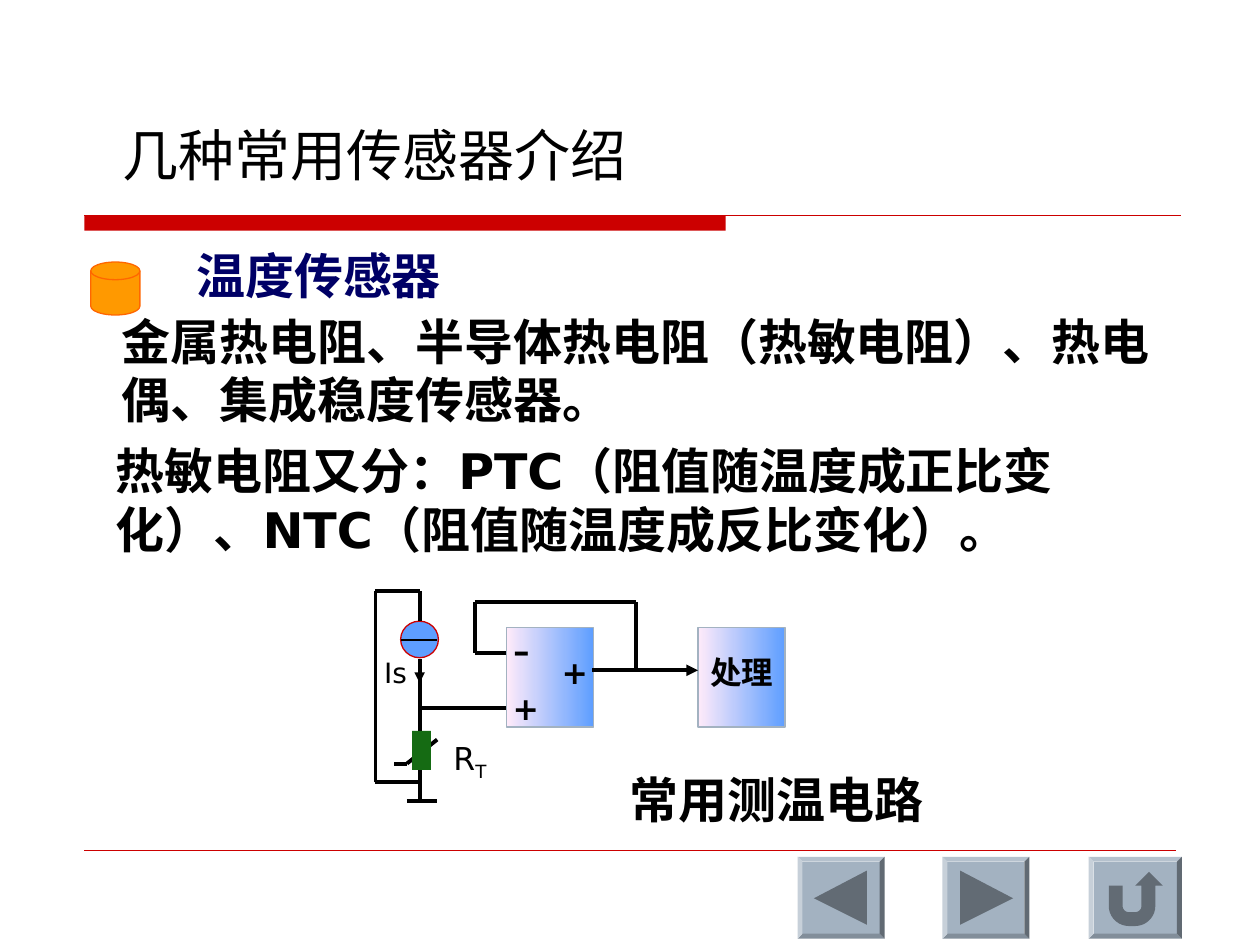
from dataclasses import dataclass
from itertools import pairwise
from math import cos, radians, sin

from lxml.etree import SubElement
from pptx import Presentation
from pptx.dml.color import RGBColor
from pptx.enum.shapes import MSO_CONNECTOR, MSO_SHAPE as Preset
from pptx.enum.text import MSO_ANCHOR as Anchor, MSO_AUTO_SIZE as AutoSize, PP_ALIGN as Align
from pptx.oxml.ns import qn
from pptx.util import Inches, Pt

COLUMNS, ROWS = 100, 75
WIDTH, HEIGHT = Inches(10), Inches(7.5)


@dataclass(frozen=True)
class Theme:
    ink: str = "000000"
    heading: str = "000066"
    rule: str = "CC0000"
    disk: str = "FF9900"
    disk_edge: str = "FF6600"
    blue: str = "5E9EFF"
    pink: str = "FFEBFA"
    steel: str = "A3B2C1"
    icon: str = "626B74"
    resistor: str = "156B13"
    title_font: str = "Noto Sans CJK SC"
    body_font: str = "DejaVu Sans"
    title_size: float = 32
    body_size: float = 28
    label_size: float = 18
    small_size: float = 16
    hairline: float = 0.25
    thin: float = 0.75
    wire: float = 2.25


THEME = Theme()


@dataclass(frozen=True)
class Area:
    column: float
    row: float
    columns: float
    rows: float

    def place(self) -> tuple[int, int, int, int]:
        return across(self.column), down(self.row), across(self.columns), down(self.rows)


@dataclass(frozen=True)
class Label:
    text: str
    area: Area
    size: float = THEME.body_size
    bold: bool = True
    color: str = THEME.ink
    subscript: str = ""


@dataclass(frozen=True)
class Wire:
    points: tuple[tuple[float, float], ...]
    width: float = THEME.wire
    color: str = THEME.ink
    arrow: bool = False


def across(columns: float) -> int:
    return round(WIDTH * columns / COLUMNS)


def down(rows: float) -> int:
    return round(HEIGHT * rows / ROWS)


def rgb(color: str) -> RGBColor:
    return RGBColor.from_string(color)


def style_font(para, name: str, size: float, color: str, bold: bool = False) -> None:
    font = para.font
    font.name, font.size, font.bold = name, Pt(size), bold
    font.color.rgb = rgb(color)
    latin = font._rPr.find(qn("a:latin"))
    east_asian = latin.makeelement(qn("a:ea"), {"typeface": name})
    latin.addnext(east_asian)


def paint(shape, fill: str, edge: str | None = None) -> None:
    shape.shadow.inherit = False
    shape.fill.solid()
    shape.fill.fore_color.rgb = rgb(fill)
    if edge:
        shape.line.color.rgb = rgb(edge)
        shape.line.width = Pt(THEME.thin)
    else:
        shape.line.fill.background()


def draw_shape(page, preset: Preset, area: Area, fill: str, edge: str | None = None):
    shape = page.shapes.add_shape(preset, *area.place())
    paint(shape, fill, edge)
    return shape


def draw_block(page, area: Area) -> None:
    block = draw_shape(page, Preset.RECTANGLE, area, THEME.blue, THEME.steel)
    block.fill.gradient()
    block.fill.gradient_angle = 0
    for stop, color, position in zip(block.fill.gradient_stops, (THEME.pink, THEME.blue), (0, 1)):
        stop.color.rgb = rgb(color)
        stop.position = position


def draw_outline(page, points: list[tuple[float, float]], fill: str) -> None:
    (first, *rest) = [(across(x), down(y)) for x, y in points]
    builder = page.shapes.build_freeform(*first)
    builder.add_line_segments(rest, close=True)
    paint(builder.convert_to_shape(), fill)


def draw_wire(page, wire: Wire) -> None:
    for (x1, y1), (x2, y2) in pairwise(wire.points):
        line = page.shapes.add_connector(
            MSO_CONNECTOR.STRAIGHT, across(x1), down(y1), across(x2), down(y2))
        line.line.color.rgb = rgb(wire.color)
        line.line.width = Pt(wire.width)
        if wire.arrow:
            SubElement(line.line._get_or_add_ln(), qn("a:tailEnd"), type="triangle")
        SubElement(line._element.spPr, qn("a:effectLst"))


def draw_label(page, label: Label) -> None:
    frame = page.shapes.add_textbox(*label.area.place()).text_frame
    frame.word_wrap = True
    para = frame.paragraphs[0]
    para.add_run().text = label.text
    if label.subscript:
        span = para.add_run()
        span.text = label.subscript
        span.font._rPr.set("baseline", "-25000")
    style_font(para, THEME.body_font, label.size, label.color, label.bold)


def draw_title(page, text: str, area: Area) -> None:
    title = page.shapes.title
    title.left, title.top, title.width, title.height = area.place()
    frame = title.text_frame
    frame.text = text
    frame.auto_size = AutoSize.NONE
    frame.vertical_anchor = Anchor.MIDDLE
    frame.paragraphs[0].alignment = Align.LEFT
    style_font(frame.paragraphs[0], THEME.title_font, THEME.title_size, THEME.ink)


def arc(x: float, y: float, radius: float, start: int, end: int) -> list[tuple[float, float]]:
    step = 10 if end > start else -10
    angles = [radians(angle) for angle in range(start, end + step, step)]
    return [(x + radius * cos(angle), y + radius * sin(angle)) for angle in angles]


def draw_button(page, column: float, columns: float, icon: list[tuple[float, float]]) -> None:
    button = draw_shape(page, Preset.BEVEL, Area(column, 68, columns, 6.5), THEME.steel)
    button.adjustments[0] = 0.06
    draw_outline(page, [(column + x, y) for x, y in icon], THEME.icon)


LABELS = (
    Label("温度传感器", Area(14.6, 19, 56.6, 5.7), color=THEME.heading),
    Label("金属热电阻、半导体热电阻（热敏电阻）、热电偶、集成稳度传感器。", Area(8.7, 24.2, 85.6, 10.4)),
    Label("热敏电阻又分：PTC（阻值随温度成正比变化）、NTC（阻值随温度成反比变化）。",
          Area(8.2, 34.5, 82.2, 10.4)),
    Label("Is", Area(29.5, 51.5, 5.9, 3.7), THEME.small_size, False),
    Label("R", Area(35, 58.2, 6.9, 4.4), THEME.label_size, False, subscript="T"),
    Label("-", Area(39.7, 48.6, 4.4, 5.7), bold=False),
    Label("+", Area(39.7, 54.2, 5.4, 4), THEME.label_size),
    Label("+", Area(43.6, 51.3, 5.9, 4), THEME.label_size),
    Label("处理", Area(55.4, 51.3, 10.4, 4), THEME.label_size),
    Label("常用测温电路", Area(49, 60.6, 38.4, 5.7)),
)

WIRES = (
    Wire(((47, 53.2), (55.4, 53.2)), arrow=True),
    Wire(((40.2, 51.8), (37.7, 51.8), (37.7, 47.8), (50.5, 47.8), (50.5, 53.2))),
    Wire(((33.3, 52.3), (33.3, 58.2))),
    Wire(((33.3, 56.2), (40.2, 56.2))),
    Wire(((31.8, 50.8), (34.7, 50.8)), THEME.thin),
    Wire(((33.3, 53.2), (33.3, 54.2)), THEME.thin, arrow=True),
    Wire(((33.3, 60.6), (33.3, 63.6))),
    Wire(((32.3, 63.6), (34.7, 63.6))),
    Wire(((33.3, 62.1), (29.8, 62.1), (29.8, 46.9), (33.3, 46.9), (33.3, 49.3))),
    Wire(((31.3, 60.6), (32.3, 60.6), (34.7, 58.7))),
)

BACK_ICON = [(1.3, 71.3), (5.5, 69.1), (5.5, 73.4)]
NEXT_ICON = [(1.4, 69.1), (5.6, 71.3), (1.4, 73.4)]
RETURN_ICON = [
    (1.6, 70.3), (2.7, 70.3), *arc(3.2, 71.9, 0.5, 180, 90), *arc(3.7, 71.9, 0.5, 90, 0),
    (4.2, 70.3), (3.7, 70.3), (4.8, 69.2), (5.9, 70.3), (5.3, 70.3),
    *arc(3.7, 71.9, 1.6, 0, 90), *arc(3.2, 71.9, 1.6, 90, 180),
]


def main() -> None:
    deck = Presentation()
    deck.slide_width, deck.slide_height = WIDTH, HEIGHT
    page = deck.slides.add_slide(deck.slide_layouts[5])
    draw_title(page, "几种常用传感器介绍", Area(8.7, 9, 44.3, 6.4))
    draw_shape(page, Preset.RECTANGLE, Area(6.7, 17.1, 50.9, 1.2), THEME.rule)
    draw_wire(page, Wire(((6.7, 17.1), (93.7, 17.1)), THEME.thin, THEME.rule))
    draw_wire(page, Wire(((6.7, 67.5), (93.3, 67.5)), THEME.hairline, THEME.rule))
    draw_shape(page, Preset.FLOWCHART_MAGNETIC_DISK, Area(7.2, 20.8, 3.9, 4.2),
               THEME.disk, THEME.disk_edge)
    for column in (40.2, 55.4):
        draw_block(page, Area(column, 49.8, 6.9, 7.9))
    draw_shape(page, Preset.OVAL, Area(31.8, 49.3, 3, 2.9), THEME.blue, THEME.rule)
    for wire in WIRES:
        draw_wire(page, wire)
    for label in LABELS:
        draw_label(page, label)
    draw_shape(page, Preset.RECTANGLE, Area(32.7, 58, 1.5, 3.1), THEME.resistor)
    for column, columns, icon in ((63.3, 6.9, BACK_ICON), (74.8, 6.9, NEXT_ICON), (86.4, 7.4, RETURN_ICON)):
        draw_button(page, column, columns, icon)
    deck.save("out.pptx")


if __name__ == "__main__":
    main()
